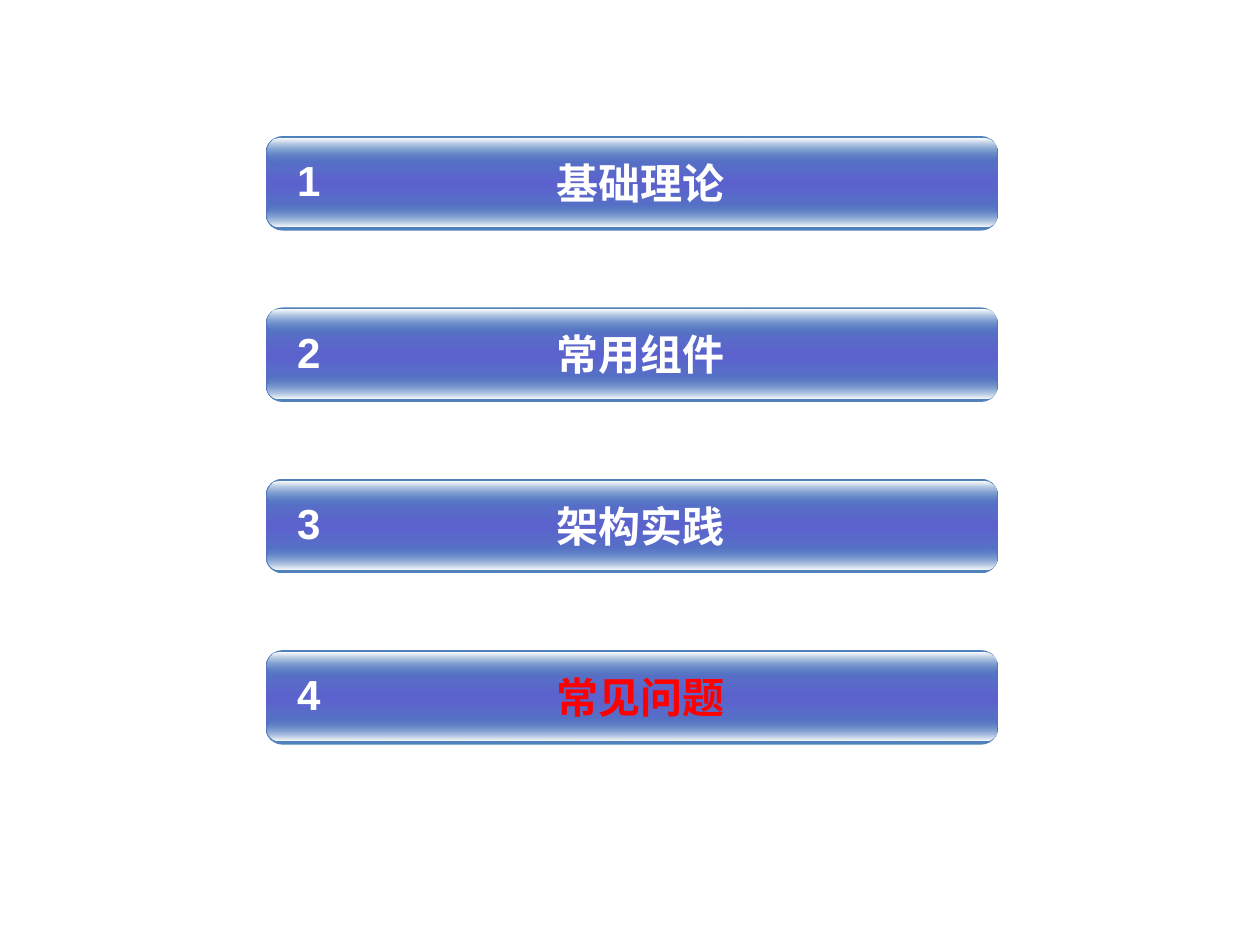
from dataclasses import dataclass

from lxml import etree
from pptx import Presentation
from pptx.dml.color import RGBColor
from pptx.enum.shapes import MSO_SHAPE
from pptx.enum.text import MSO_AUTO_SIZE, PP_ALIGN
from pptx.oxml.ns import qn
from pptx.util import Inches, Pt

ROUNDED = MSO_SHAPE.ROUNDED_RECTANGLE
CENTER = PP_ALIGN.CENTER
GROW = MSO_AUTO_SIZE.SHAPE_TO_FIT_TEXT


@dataclass(frozen=True)
class Theme:
    edge: str = "4F81BD"
    core: str = "5C62CD"
    shine: str = "FFFFFF"
    text: str = "FFFFFF"
    current: str = "FF0000"
    font: str = "Arial"
    size: int = 24


THEME = Theme()
CHAPTERS = ["基础理论", "常用组件", "架构实践", "常见问题"]
CURRENT = 4

SLIDE_W, SLIDE_H = 10, 7.5
BAR_X, BAR_W, BAR_H = 2.11, 5.81, 0.75
FIRST_Y, PITCH = 1.08, 1.36
SHEEN_X, SHEEN_W, SHEEN_H = 2.12, 5.79, 0.18

# Gradient stops: position %, colour, opacity %
BODY = [(0, THEME.edge, 100), (50, THEME.core, 100), (100, THEME.edge, 100)]
TOP_SHEEN = [(0, THEME.shine, 100), (100, THEME.edge, 0)]
BOTTOM_SHEEN = [(0, THEME.edge, 0), (100, THEME.shine, 100)]


def set_vertical_gradient(sp, stops):
    """Fill from top to bottom with the given stops."""
    sp.fill.gradient()
    grad = sp._element.spPr.find(qn("a:gradFill"))
    for child in list(grad):
        grad.remove(child)
    stop_list = etree.SubElement(grad, qn("a:gsLst"))
    for position, color, opacity in stops:
        stop = etree.SubElement(stop_list, qn("a:gs"), pos=str(position * 1000))
        rgb = etree.SubElement(stop, qn("a:srgbClr"), val=color)
        if opacity < 100:
            etree.SubElement(rgb, qn("a:alpha"), val=str(opacity * 1000))
    etree.SubElement(grad, qn("a:lin"), ang="5400000", scaled="1")


def add_rounded(shapes, x, y, w, h, corner, stops):
    sp = shapes.add_shape(ROUNDED, Inches(x), Inches(y), Inches(w), Inches(h))
    sp.adjustments[0] = corner
    sp.shadow.inherit = False
    sp.line.fill.background()
    set_vertical_gradient(sp, stops)


def add_label(shapes, text, x, y, w, color, hanging=0):
    box = shapes.add_textbox(Inches(x), Inches(y), Inches(w), Inches(0.5))
    tf = box.text_frame
    tf.word_wrap = True
    tf.auto_size = GROW
    p = tf.paragraphs[0]
    p.text = text
    p.alignment = CENTER
    if hanging:
        pPr = p._p.get_or_add_pPr()
        pPr.set("marL", str(Inches(hanging)))
        pPr.set("indent", str(-Inches(hanging)))
    font = p.runs[0].font
    font.name = THEME.font
    font.size = Pt(THEME.size)
    font.bold = True
    font.color.rgb = RGBColor.from_string(color)


def add_chapter(slide, number, title):
    y = FIRST_Y + (number - 1) * PITCH
    shapes = slide.shapes.add_group_shape().shapes
    add_rounded(shapes, BAR_X, y, BAR_W, BAR_H, 0.175, BODY)
    for offset, stops in ((0.54, BOTTOM_SHEEN), (0.02, TOP_SHEEN)):
        add_rounded(shapes, SHEEN_X, y + offset, SHEEN_W, SHEEN_H, 0.5, stops)
    color = THEME.current if number == CURRENT else THEME.text
    add_label(shapes, title, 2.62, y + 0.12, 4.92, color, hanging=0.5)
    add_label(shapes, str(number), 2.24, y + 0.1, 0.42, THEME.text)


def main():
    prs = Presentation()
    prs.slide_width, prs.slide_height = Inches(SLIDE_W), Inches(SLIDE_H)
    slide = prs.slides.add_slide(prs.slide_layouts.get_by_name("Blank"))
    for number, title in enumerate(CHAPTERS, start=1):
        add_chapter(slide, number, title)
    prs.save("out.pptx")


if __name__ == "__main__":
    main()
